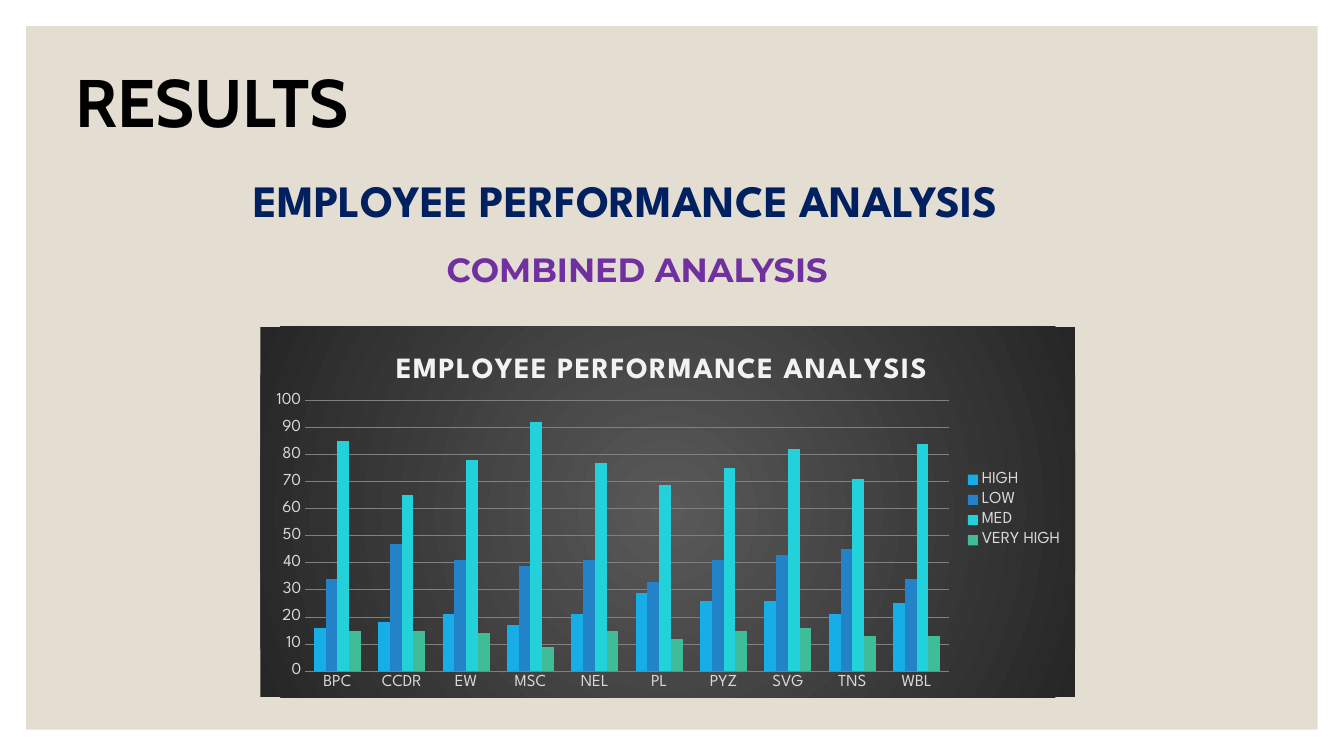
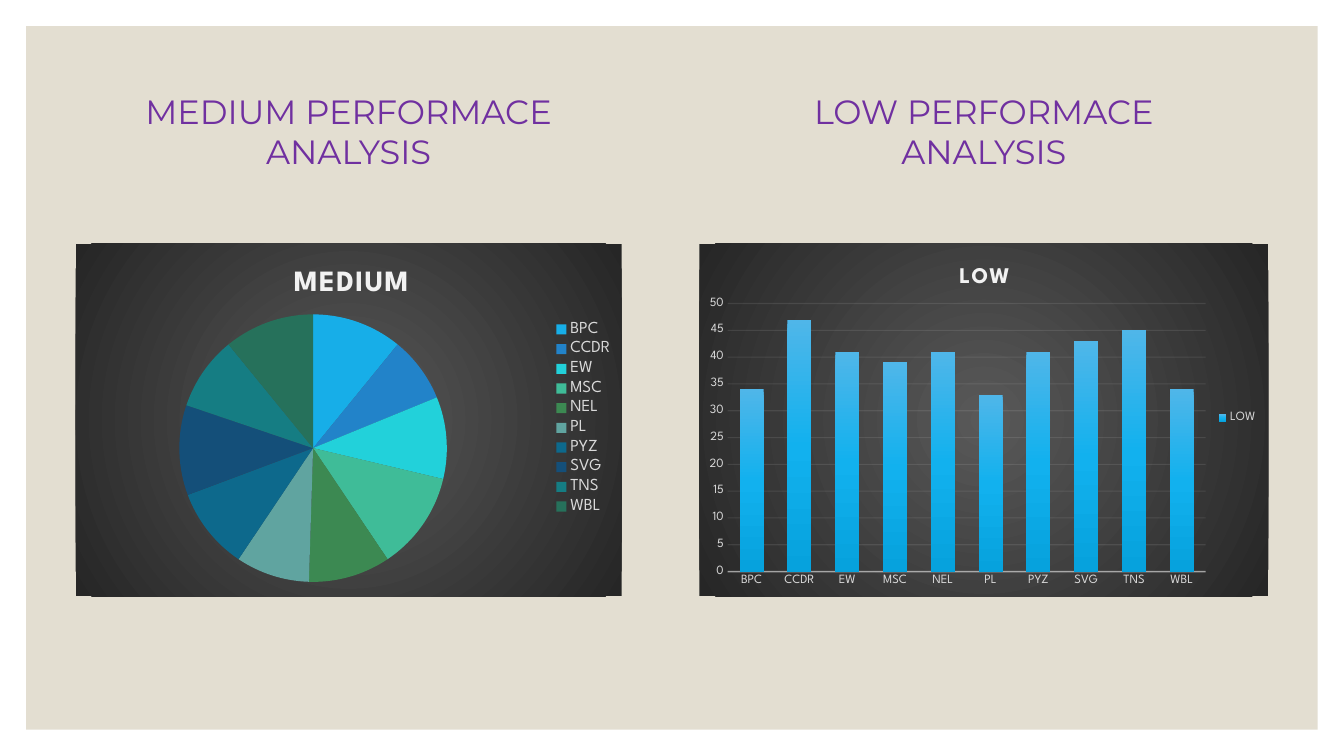
from lxml import etree
from pptx import Presentation
from pptx.chart.data import CategoryChartData
from pptx.dml.color import RGBColor
from pptx.enum.chart import XL_CHART_TYPE, XL_LEGEND_POSITION, XL_TICK_MARK
from pptx.enum.shapes import MSO_SHAPE
from pptx.enum.text import MSO_ANCHOR, MSO_AUTO_SIZE, PP_ALIGN
from pptx.oxml import parse_xml
from pptx.oxml.ns import nsdecls, qn
from pptx.util import Emu, Pt

W, H = 1280, 720
MARGIN = 25
HEAD, SUB, CHART = "Cabin", "Montserrat", "League Spartan"
SAND, BLACK, NAVY, PURPLE = "E3DED1", "000000", "002060", "7030A0"
PALE, LABEL, GRID = "F2F2F2", "D9D9D9", "808080"
PANEL = ["595959", "262626"]
LOW_BARS = ["4FB6E9", "12B1EE", "06A2DD"]
PALETTE = ["17AEE8", "2283C9", "22D1DA", "3FBC98", "3C8952",
           "60A4A0", "0D698C", "144F79", "157D83", "26715B"]
CATS = ["BPC", "CCDR", "EW", "MSC", "NEL", "PL", "PYZ", "SVG", "TNS", "WBL"]
LOW = [34, 47, 41, 39, 41, 33, 41, 43, 45, 34]
LEVELS = {
    "HIGH": [16, 18, 21, 17, 21, 29, 26, 26, 21, 25],
    "LOW": LOW,
    "MED": [85, 65, 78, 92, 77, 69, 75, 82, 71, 84],
    "VERY HIGH": [15, 15, 14, 9, 15, 12, 15, 16, 13, 13],
}
MEDIUM = [11, 8, 10, 12, 10, 9, 10, 11, 9, 11]


def px(n):
    return Emu(n * 9525)


def rgb(color):
    return RGBColor.from_string(color)


def style(font, size, color, name, bold=False):
    font.size = Pt(size)
    font.color.rgb = rgb(color)
    font.name = name
    font.bold = bold


def add_slide(prs):
    s = prs.slides.add_slide(prs.slide_layouts[6])
    sp = s.shapes.add_shape(MSO_SHAPE.RECTANGLE, px(MARGIN), px(MARGIN),
                            px(W - 2 * MARGIN), px(H - 2 * MARGIN))
    sp.shadow.inherit = False
    sp.fill.solid()
    sp.fill.fore_color.rgb = rgb(SAND)
    sp.line.fill.background()
    return s


def add_text(s, box, text, size, color, name, bold=False, align=PP_ALIGN.LEFT):
    tf = s.shapes.add_textbox(*map(px, box)).text_frame
    tf.word_wrap = True
    tf.auto_size = MSO_AUTO_SIZE.SHAPE_TO_FIT_TEXT
    p = tf.paragraphs[0]
    p.alignment = align
    r = p.add_run()
    r.text = text
    style(r.font, size, color, name, bold)
    return tf


def add_title(s, box, text):
    tf = add_text(s, box, text, 48, BLACK, HEAD, True)
    tf.vertical_anchor = MSO_ANCHOR.MIDDLE
    tf.margin_left = tf.margin_right = tf.margin_bottom = 0
    tf.margin_top = px(1)


def gradient(colors, direction):
    last = len(colors) - 1
    stops = "".join(
        f'<a:gs pos="{i * 100000 // last}"><a:srgbClr val="{c}"/></a:gs>'
        for i, c in enumerate(colors))
    return f"<a:gradFill {nsdecls('a')}><a:gsLst>{stops}</a:gsLst>{direction}</a:gradFill>"


def fill_panel(chart):
    circle = ('<a:path path="circle"><a:fillToRect l="50000" t="50000" '
              'r="50000" b="50000"/></a:path>')
    chart_space = chart._chartSpace
    chart_space.find(qn("c:chart")).addnext(parse_xml(
        f"<c:spPr {nsdecls('c', 'a')}>{gradient(PANEL, circle)}"
        "<a:ln><a:noFill/></a:ln></c:spPr>"))


def paint(fmt, color):
    fmt.fill.solid()
    fmt.fill.fore_color.rgb = rgb(color)
    fmt.line.fill.background()


def paint_gradient(fmt, colors):
    paint(fmt, colors[0])
    solid = fmt.fill._xPr.find(qn("a:solidFill"))
    solid.getparent().replace(
        solid, parse_xml(gradient(colors, '<a:lin ang="5400000" scaled="0"/>')))


def draw_line(line, color, width, opacity=100):
    line.color.rgb = rgb(color)
    line.width = Pt(width)
    if opacity < 100:
        clr = line.fill._xPr.find(".//" + qn("a:srgbClr"))
        etree.SubElement(clr, qn("a:alpha")).set("val", str(opacity * 1000))


def set_layout(parent, after, box, inner=False):
    for old in parent.findall(qn("c:layout")):
        parent.remove(old)
    target = '<c:layoutTarget val="inner"/>' if inner else ""
    modes = '<c:xMode val="edge"/><c:yMode val="edge"/>'
    sizes = "".join(f'<c:{k} val="{v}"/>' for k, v in zip("xywh", box))
    layout = parse_xml(f"<c:layout {nsdecls('c')}><c:manualLayout>{target}{modes}"
                       f"{sizes}</c:manualLayout></c:layout>")
    if after:
        parent.find(qn(after)).addnext(layout)
    else:
        parent.insert(0, layout)


def add_chart(s, box, kind, series, title, title_size, label_size,
              title_at, plot_at, legend_at):
    data = CategoryChartData()
    data.categories = CATS
    for name, values in series.items():
        data.add_series(name, values)
    chart = s.shapes.add_chart(kind, *map(px, box), data).chart
    style(chart.font, 10, BLACK, CHART)
    fill_panel(chart)

    chart.has_title = True
    r = chart.chart_title.text_frame.paragraphs[0].add_run()
    r.text = title
    style(r.font, title_size, PALE, CHART, True)
    r.font._element.set("spc", "100")
    chart.chart_title.include_in_layout = False
    set_layout(chart.chart_title._element, "c:tx", title_at)

    chart.has_legend = True
    chart.legend.position = XL_LEGEND_POSITION.RIGHT
    chart.legend.include_in_layout = False
    style(chart.legend.font, label_size, LABEL, CHART)
    set_layout(chart.legend._element, "c:legendPos", legend_at)
    set_layout(chart._chartSpace.find(".//" + qn("c:plotArea")), None, plot_at, True)
    return chart


def style_columns(chart, label_size, top, step, gap, overlap, grid):
    for axis in (chart.category_axis, chart.value_axis):
        axis.major_tick_mark = axis.minor_tick_mark = XL_TICK_MARK.NONE
        style(axis.tick_labels.font, label_size, LABEL, CHART)
        axis.format.line.fill.background()
    axis = chart.value_axis
    axis.minimum_scale, axis.maximum_scale, axis.major_unit = 0, top, step
    axis.has_major_gridlines = True
    draw_line(axis.major_gridlines.format.line, *grid)
    plot = chart.plots[0]
    plot.vary_by_categories = False
    plot.gap_width, plot.overlap = gap, overlap


def combined_chart(s, box):
    chart = add_chart(s, box, XL_CHART_TYPE.COLUMN_CLUSTERED, LEVELS,
                      "EMPLOYEE PERFORMANCE ANALYSIS", 21, 12, (0.16, 0.06),
                      (0.055, 0.2, 0.79, 0.73), (0.86, 0.38, 0.13, 0.23))
    style_columns(chart, 12, 100, 10, 150, 0, (GRID, 0.75))
    for ser, color in zip(chart.plots[0].series, PALETTE):
        paint(ser.format, color)


def medium_chart(s, box):
    chart = add_chart(s, box, XL_CHART_TYPE.PIE, {"Series 1": MEDIUM},
                      "MEDIUM", 21, 12, (0.39, 0.05),
                      (0.19, 0.2, 0.49, 0.76), (0.87, 0.21, 0.12, 0.57))
    plot = chart.plots[0]
    plot.vary_by_categories = True
    for i, color in enumerate(PALETTE):
        paint(plot.series[0].points[i].format, color)


def low_chart(s, box):
    chart = add_chart(s, box, XL_CHART_TYPE.COLUMN_CLUSTERED, {"LOW": LOW},
                      "LOW", 16, 9, (0.45, 0.05),
                      (0.05, 0.17, 0.84, 0.76), (0.9, 0.46, 0.09, 0.07))
    style_columns(chart, 9, 50, 5, 100, -24, (PALE, 0.75, 10))
    draw_line(chart.category_axis.format.line, PALE, 1, 54)
    paint_gradient(chart.plots[0].series[0].format, LOW_BARS)


def results_slide(prs):
    s = add_slide(prs)
    add_title(s, (72, 56, 289, 79), "RESULTS")
    add_text(s, (232, 160, 881, 61), "EMPLOYEE PERFORMANCE ANALYSIS",
             32, NAVY, CHART, True)
    add_text(s, (416, 232, 416, 48), "COMBINED ANALYSIS", 24, PURPLE, SUB, True)
    combined_chart(s, (248, 311, 776, 353))


def levels_slide(prs):
    s = add_slide(prs)
    for x, level in ((88, "MEDIUM"), (693, "LOW")):
        add_text(s, (x, 82, 488, 87), f"{level} PERFORMACE ANALYSIS",
                 24, PURPLE, SUB, align=PP_ALIGN.CENTER)
    medium_chart(s, (72, 232, 520, 336))
    low_chart(s, (666, 232, 542, 336))


def main():
    prs = Presentation()
    prs.slide_width, prs.slide_height = px(W), px(H)
    results_slide(prs)
    levels_slide(prs)
    prs.save("out.pptx")


if __name__ == "__main__":
    main()
